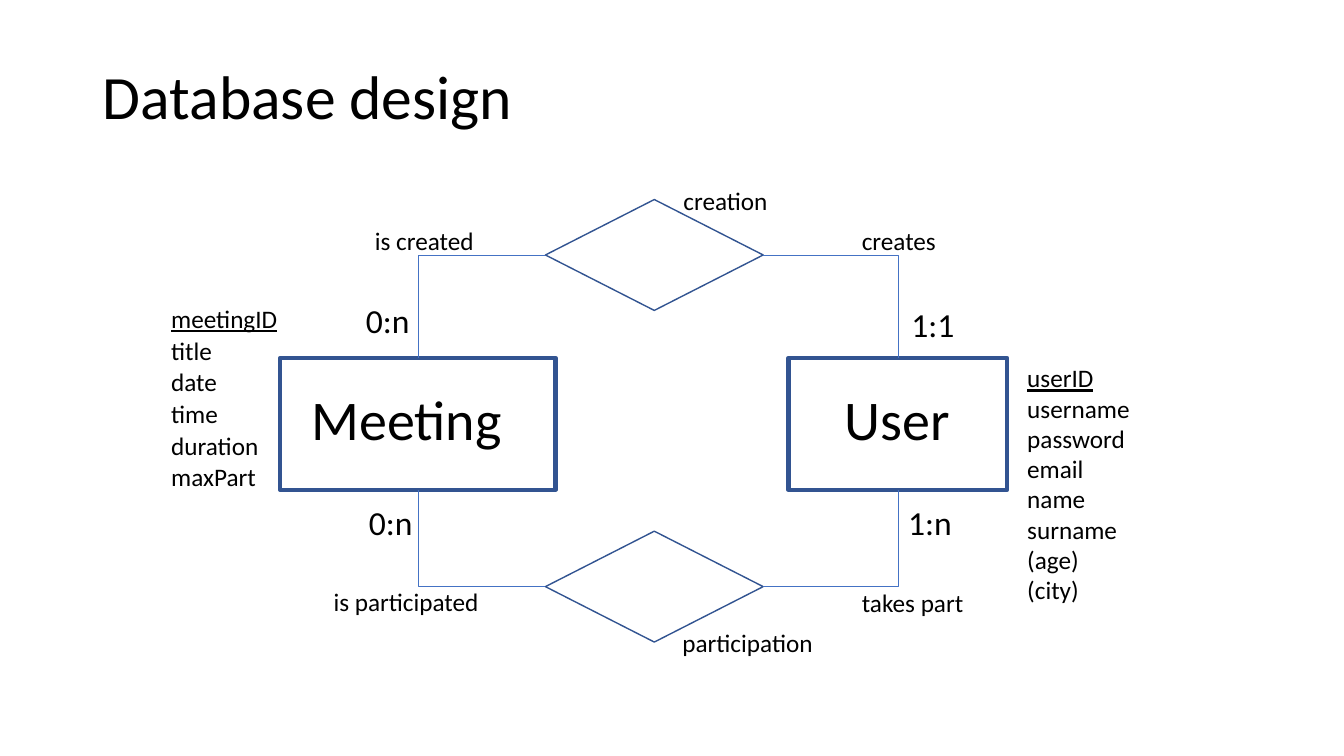
from lxml.etree import SubElement
from pptx import Presentation
from pptx.dml.color import RGBColor
from pptx.enum.shapes import MSO_CONNECTOR, MSO_SHAPE
from pptx.enum.text import MSO_ANCHOR, MSO_AUTO_SIZE, PP_ALIGN
from pptx.oxml.ns import qn
from pptx.util import Inches, Pt

BLACK = RGBColor(0x00, 0x00, 0x00)
NAVY = RGBColor(0x32, 0x54, 0x91)
BLUE = RGBColor(0x44, 0x72, 0xC4)


def write(p, text, size, underline=False):
    r = p.add_run()
    r.text = text
    font = {"name": "Calibri", "size": Pt(size), "underline": underline}
    for key, value in font.items():
        setattr(r.font, key, value)
    r.font.color.rgb = BLACK


def add_text(box, lines, size, key=None, after=0):
    tf = s.shapes.add_textbox(*map(Inches, box)).text_frame
    tf.word_wrap = True
    tf.auto_size = MSO_AUTO_SIZE.SHAPE_TO_FIT_TEXT
    for i, line in enumerate(lines):
        p = tf.add_paragraph() if i else tf.paragraphs[0]
        p.space_after = Pt(after)
        write(p, line, size, line == key)


prs = Presentation()
prs.slide_width, prs.slide_height = Inches(13.33), Inches(7.5)
s = prs.slides.add_slide(prs.slide_layouts[5])

title = s.shapes.title
title.left, title.top, title.width, title.height = map(Inches, (0.92, 0.26, 11.5, 1.45))
tf = title.text_frame
tf.vertical_anchor = MSO_ANCHOR.MIDDLE
p = tf.paragraphs[0]
p.alignment = PP_ALIGN.LEFT
p.line_spacing = 0.9
write(p, "Database design", 44)

nodes = {}
for name, kind, box, weight in [
    ("meeting", MSO_SHAPE.RECTANGLE, (2.78, 3.55, 2.73, 1.31), 3),
    ("user", MSO_SHAPE.RECTANGLE, (7.82, 3.55, 2.17, 1.31), 3),
    ("creation", MSO_SHAPE.FLOWCHART_DECISION, (5.41, 1.98, 2.16, 1.1), 1),
    ("participation", MSO_SHAPE.FLOWCHART_DECISION, (5.41, 5.27, 2.16, 1.1), 1),
]:
    sp = s.shapes.add_shape(kind, *map(Inches, box))
    sp.shadow.inherit = False
    sp.fill.background()
    sp.line.color.rgb = NAVY
    sp.line.width = Pt(weight)
    nodes[name] = sp

for relation, entity_side in [("creation", 0), ("participation", 2)]:
    for entity, relation_side in [("meeting", 1), ("user", 3)]:
        c = s.shapes.add_connector(MSO_CONNECTOR.ELBOW, 0, 0, 0, 0)
        c.begin_connect(nodes[relation], relation_side)
        c.end_connect(nodes[entity], entity_side)
        c.line.color.rgb = BLUE
        c.line.width = Pt(0.5)
        spPr = c._element.spPr
        spPr.find(qn("a:prstGeom")).set("prst", "bentConnector2")
        SubElement(spPr, qn("a:effectLst"))

for text, size, box in [
    ("Meeting", 40, (2.99, 3.77, 2.64, 0.77)),
    ("User", 40, (8.28, 3.77, 1.79, 0.77)),
    ("0:n", 24, (3.53, 2.93, 0.85, 0.5)),
    ("1:1", 24, (8.94, 2.97, 0.64, 0.5)),
    ("0:n", 24, (3.56, 4.93, 0.96, 0.5)),
    ("1:n", 24, (8.91, 4.93, 0.74, 0.5)),
    ("creation", 18, (6.68, 1.79, 1.71, 0.4)),
    ("participation", 18, (6.67, 6.17, 1.73, 0.4)),
    ("is created", 18, (3.62, 2.19, 1.38, 0.4)),
    ("creates", 18, (8.45, 2.19, 1.26, 0.4)),
    ("is participated", 18, (3.21, 5.77, 1.71, 0.4)),
    ("takes part", 18, (8.45, 5.78, 1.35, 0.4)),
]:
    add_text(box, [text], size)

meeting_fields = ["meetingID", "title", "date", "time", "duration", "maxPart"]
user_fields = ["userID", "username", "password", "email", "name", "surname", "(age)", "(city)"]
add_text((1.6, 2.96, 2.17, 1.99), meeting_fields, 18, "meetingID", 1)
add_text((10.09, 3.55, 1.84, 2.83), user_fields, 18, "userID")

prs.save("out.pptx")
